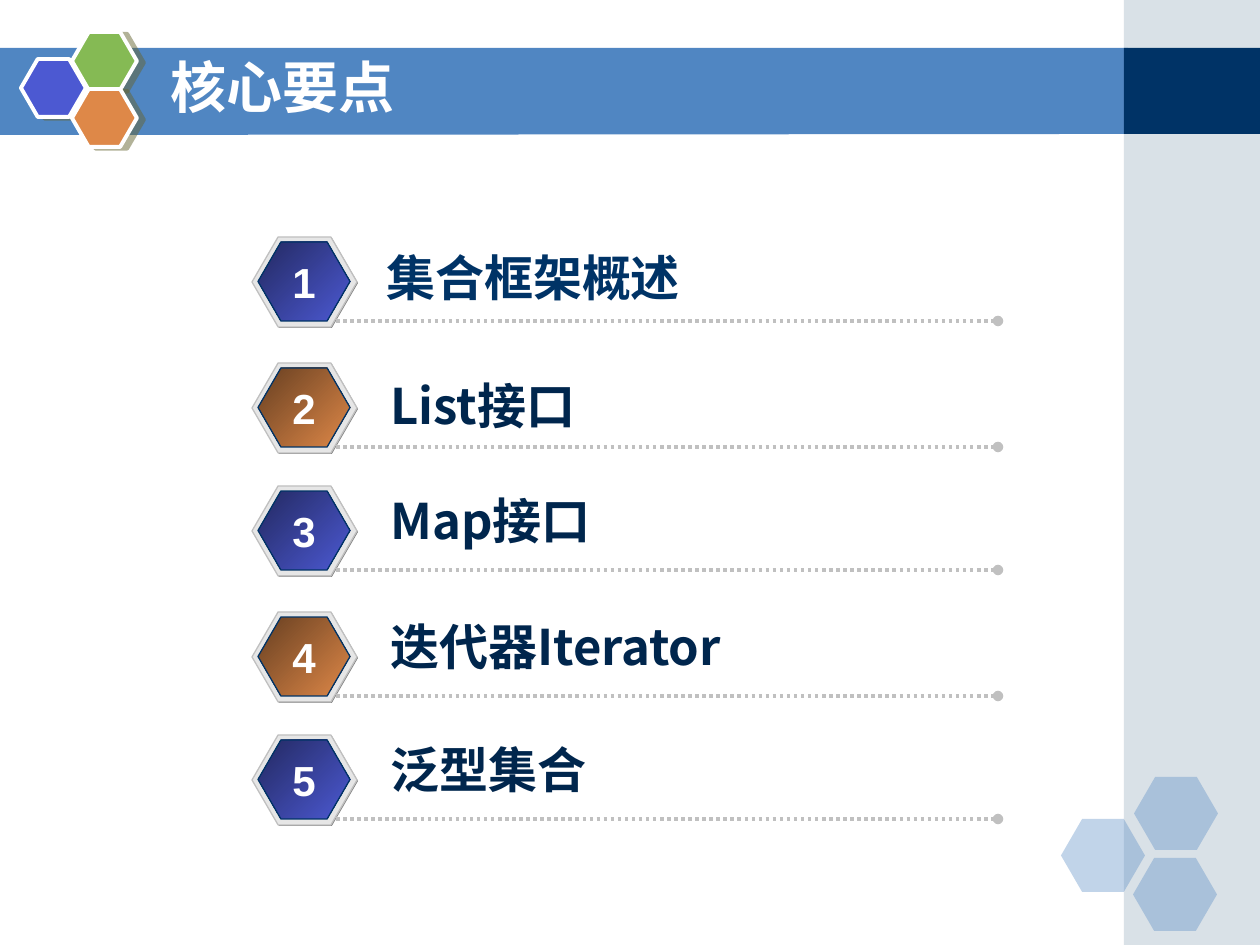
import pptx
import pptx.util
import pptx.dml.color
import pptx.enum.dml
import pptx.enum.shapes
import pptx.enum.text
import pptx.oxml
import pptx.oxml.ns

SCALE = 914400 / 126
CJK_FONT = "Noto Sans CJK SC"
BLUE = ("232961", "4C59D2")
ORANGE = ("673F21", "DE8848")
ITEMS = [
    (237, 374, 241, "集合框架概述", "Arial", "003366", BLUE),
    (363, 378, 369, "List接口", CJK_FONT, "00264D", ORANGE),
    (486, 378, 484, "Map接口", CJK_FONT, "00264D", BLUE),
    (612, 378, 610, "迭代器Iterator", CJK_FONT, "00264D", ORANGE),
    (735, 378, 733, "泛型集合", CJK_FONT, "00264D", BLUE),
]


def px(*lengths):
    return [pptx.util.Emu(round(length * SCALE)) for length in lengths]


def colour(value):
    return pptx.dml.color.RGBColor.from_string(value)


def xml(text):
    namespace = pptx.oxml.ns.nsdecls("a")
    return pptx.oxml.parse_xml(text.replace("/>", f" {namespace}/>", 1)
                               if text.endswith("/>") and text.count("<") == 1
                               else text.replace(">", f" {namespace}>", 1))


def paint(shape, fill, line=None, width=0.75, alpha=None):
    shape.shadow.inherit = False
    if isinstance(fill, tuple):
        shape.fill.gradient()
        shape.fill.gradient_angle = 315
        for stop, value in zip(shape.fill.gradient_stops, fill):
            stop.color.rgb = colour(value)
    else:
        shape.fill.solid()
        shape.fill.fore_color.rgb = colour(fill)
    if alpha:
        solid = shape.element.spPr.find(pptx.oxml.ns.qn("a:solidFill"))
        solid[0].append(xml(f'<a:alpha val="{alpha * 1000}"/>'))
    if line:
        shape.line.color.rgb = colour(line)
        shape.line.width = pptx.util.Pt(width)
    else:
        shape.line.fill.background()


def add_preset(shapes, kind, bounds, fill, **style):
    shape = shapes.add_shape(kind, *px(*bounds))
    paint(shape, fill, **style)
    return shape


def add_hexagon(shapes, bounds, fill, **style):
    shape = add_preset(shapes, pptx.enum.shapes.MSO_SHAPE.HEXAGON, bounds, fill, **style)
    shape.adjustments[0] = 0.29
    return shape


def add_band(page):
    builder = page.shapes.build_freeform(0, 48, scale=SCALE)
    builder.add_line_segments([(1128, 48), (1128, 134), (0, 135)])
    paint(builder.convert_to_shape(), "5086C2")


def add_side_panel(page):
    rectangle = pptx.enum.shapes.MSO_SHAPE.RECTANGLE
    add_preset(page.shapes, rectangle, (1124, 0, 136, 945), "A0B5C4", alpha=40)
    add_preset(page.shapes, rectangle, (1124, 48, 136, 86), "003366")


def add_corner_hexagons(page):
    for left, top in [(1061, 819), (1134, 777), (1133, 858)]:
        add_hexagon(page.shapes, (left, top, 84, 73), "5086C2", alpha=35)


def add_emblem(page):
    group = page.shapes.add_group_shape()
    for left, top, fill in [(21, 59, "4C59D2"), (72, 32, "85BA54"), (72, 89, "DE8848")]:
        shape = add_hexagon(group.shapes, (left, top, 65, 58), fill, line="FFFFFF", width=2.25)
        effects = shape.element.spPr.find(pptx.oxml.ns.qn("a:effectLst"))
        effects.append(xml('<a:outerShdw dist="52070" dir="840000" algn="ctr" rotWithShape="0">'
                           '<a:srgbClr val="666633"><a:alpha val="50000"/></a:srgbClr>'
                           '</a:outerShdw>'))


def write(box, text, size, font, value, align):
    para = box.text_frame.paragraphs[0]
    para.alignment = align
    span = para.add_run()
    span.text = text
    span.font.size = pptx.util.Pt(size)
    span.font.bold = True
    span.font.name = font
    span.font.color.rgb = colour(value)
    latin = span.font._element.find(pptx.oxml.ns.qn("a:latin"))
    latin.addnext(xml(f'<a:ea typeface="{CJK_FONT}"/>'))


def add_title(page, text):
    title = page.shapes.title
    title.left, title.top, title.width, title.height = px(158, 42, 924, 88)
    title.text_frame.auto_size = pptx.enum.text.MSO_AUTO_SIZE.NONE
    title.text_frame.vertical_anchor = pptx.enum.text.MSO_ANCHOR.MIDDLE
    write(title, text, 32, CJK_FONT, "FFFFFF", pptx.enum.text.PP_ALIGN.LEFT)
    page.shapes.element.append(title.element)


def add_text(page, bounds, text, size, font, value, align, wrap):
    box = page.shapes.add_textbox(*px(*bounds))
    box.text_frame.word_wrap = wrap
    box.text_frame.auto_size = pptx.enum.text.MSO_AUTO_SIZE.SHAPE_TO_FIT_TEXT
    write(box, text, size, font, value, align)


def add_badge(page, top, fill):
    group = page.shapes.add_group_shape()
    add_hexagon(group.shapes, (253, top + 1, 105, 90), "808080")
    add_hexagon(group.shapes, (252, top, 105, 90), "E6E6E6", line="C0C0C0")
    add_hexagon(group.shapes, (258, top + 5, 92, 79), fill, line="003366")


def add_rule(page, y):
    rule = page.shapes.add_connector(pptx.enum.shapes.MSO_CONNECTOR.STRAIGHT,
                                     *px(336, y, 998, y))
    rule.line.color.rgb = colour("C0C0C0")
    rule.line.width = pptx.util.Pt(2)
    rule.line.dash_style = pptx.enum.dml.MSO_LINE.ROUND_DOT
    rule.line._get_or_add_ln().append(xml('<a:tailEnd type="oval"/>'))
    rule.element.spPr.append(xml("<a:effectLst/>"))


def add_item(page, number, item):
    top, left, label_top, label, font, value, fill = item
    alignment = pptx.enum.text.PP_ALIGN
    add_badge(page, top, fill)
    add_rule(page, top + 84)
    add_text(page, (left, label_top, 598, 72), label, 28, font, value, alignment.LEFT, True)
    add_text(page, (280, top + 13, 48, 63), str(number), 24, "Arial", "FFFFFF",
             alignment.CENTER, False)


def main():
    deck = pptx.Presentation()
    deck.slide_width, deck.slide_height = px(1260, 945)
    page = deck.slides.add_slide(deck.slide_layouts[5])
    add_band(page)
    add_side_panel(page)
    add_corner_hexagons(page)
    add_emblem(page)
    add_title(page, "核心要点")
    for number, item in enumerate(ITEMS, 1):
        add_item(page, number, item)
    deck.save("out.pptx")


if __name__ == "__main__":
    main()
